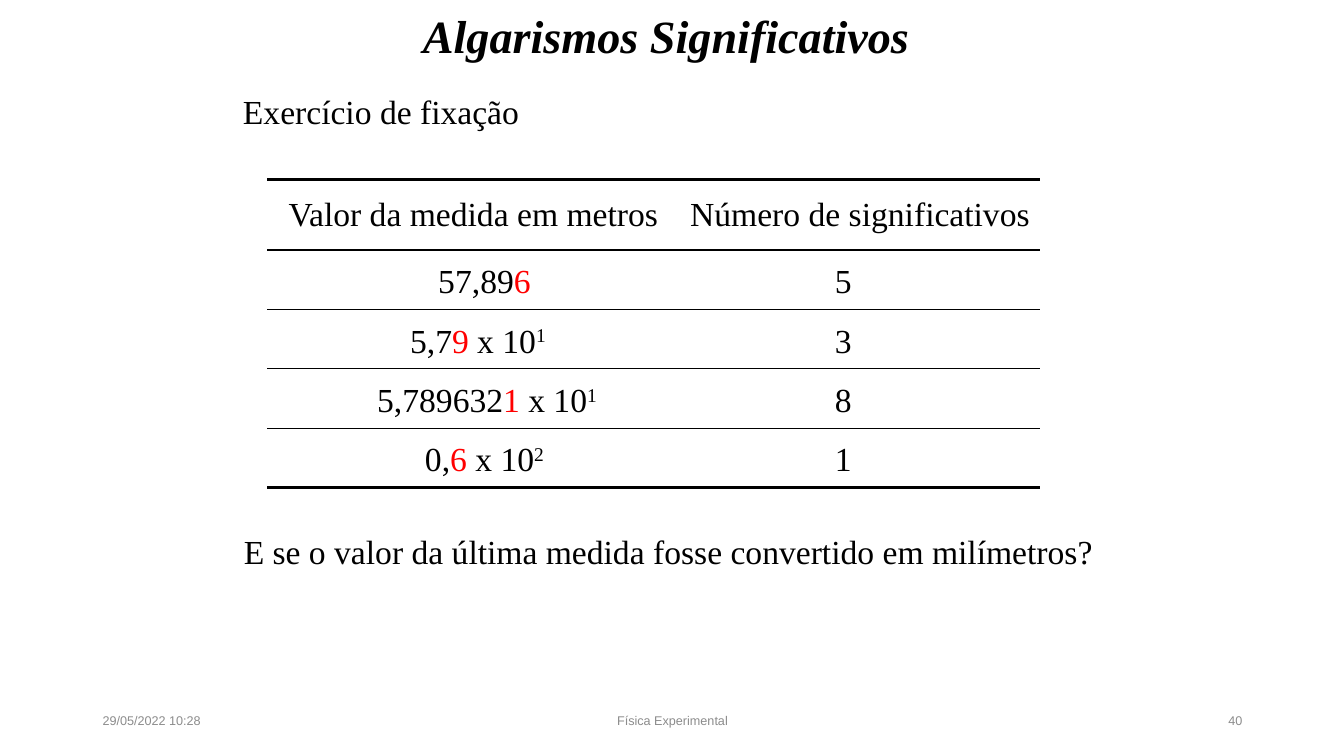
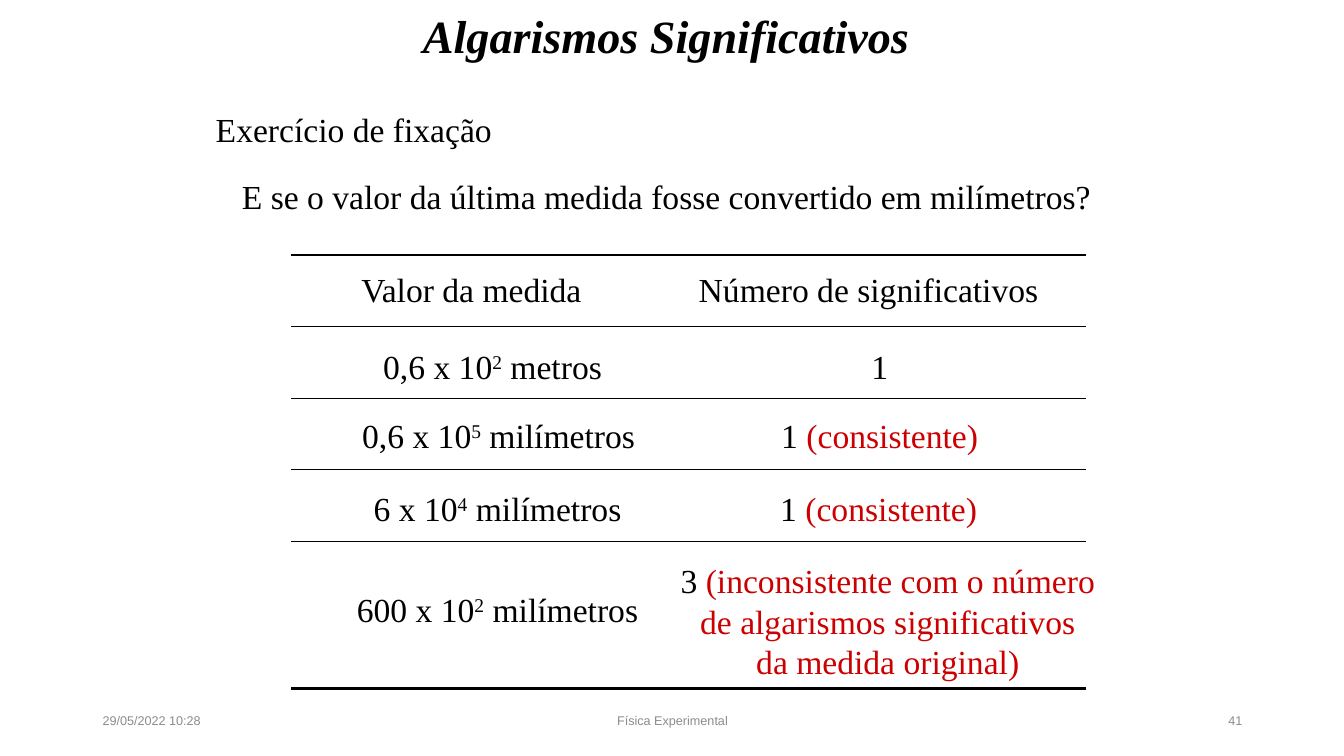
import dataclasses

import lxml.etree
import pptx
import pptx.dml.color
import pptx.enum.text
import pptx.oxml.ns
import pptx.util

Inches = pptx.util.Inches
Align = pptx.enum.text.PP_ALIGN
Anchor = pptx.enum.text.MSO_ANCHOR
AutoSize = pptx.enum.text.MSO_AUTO_SIZE

BLACK = pptx.dml.color.RGBColor(0x00, 0x00, 0x00)
GRAY = pptx.dml.color.RGBColor(0x8C, 0x8C, 0x8C)
RED = pptx.dml.color.RGBColor(0xFF, 0x00, 0x00)
DARK_RED = pptx.dml.color.RGBColor(0xCC, 0x00, 0x00)

SERIF = "Times New Roman"
SANS = "Arial"
TITLE = "Algarismos Significativos "
EXERCISE = "Exercício de fixação"
QUESTION = "E se o valor da última medida fosse convertido em milímetros?"
COUNT_HEADING = "Número de significativos"
TITLE_SIZE, BODY_SIZE, FOOTER_SIZE = 33, 24, 9
THIN, THICK = 1, 2.25
TIGHT = (0.08, 0.04)
NORMAL = (0.1, 0.05)
VALUE_HEIGHT = 0.5


@dataclasses.dataclass
class Span:
    text: str
    color: pptx.dml.color.RGBColor = BLACK
    raised: bool = False


def power(before, exponent, after=""):
    """Spans for a number times a power of ten, with the exponent raised."""
    spans = [Span(before + " x 10"), Span(exponent, raised=True)]
    return spans + [Span(after)] if after else spans


def set_border(cell, side, width):
    """Draw one side of a cell in black, or hide it when width is zero."""
    tag = pptx.oxml.ns.qn("a:" + side)
    line = lxml.etree.SubElement(cell._tc.get_or_add_tcPr(), tag)
    line.set("w", str(int(pptx.util.Pt(width))))
    if not width:
        lxml.etree.SubElement(line, pptx.oxml.ns.qn("a:noFill"))
        return
    fill = lxml.etree.SubElement(line, pptx.oxml.ns.qn("a:solidFill"))
    color = lxml.etree.SubElement(fill, pptx.oxml.ns.qn("a:srgbClr"))
    color.set("val", str(BLACK))


class LessonDeck:
    def __init__(self):
        self.deck = pptx.Presentation()
        self.deck.slide_width = Inches(13.33)
        self.deck.slide_height = Inches(7.5)
        self.page = None

    def add_spans(self, frame, spans, align, size=BODY_SIZE, font=SERIF):
        para = frame.paragraphs[0]
        para.alignment = align
        for span in spans:
            run = para.add_run()
            run.text = span.text
            run.font.name = font
            run.font.size = pptx.util.Pt(size)
            run.font.color.rgb = span.color
            if span.raised:
                run.font._element.set("baseline", "30000")
        return para

    def add_page(self, number):
        self.page = self.deck.slides.add_slide(self.deck.slide_layouts[5])
        title = self.page.shapes.title
        title.left, title.top = Inches(0), Inches(0)
        title.width, title.height = self.deck.slide_width, Inches(0.76)
        title.text_frame.auto_size = AutoSize.NONE
        title.text_frame.vertical_anchor = Anchor.MIDDLE
        para = self.add_spans(title.text_frame, [Span(TITLE)], Align.CENTER, TITLE_SIZE)
        para.line_spacing = 0.9
        para.runs[0].font.bold = True
        para.runs[0].font.italic = True
        self.add_footer("29/05/2022 10:28", 0.92, 3, Align.LEFT)
        self.add_footer("Física Experimental", 4.42, 4.5, Align.CENTER)
        self.add_footer(str(number), 9.42, 3, Align.RIGHT)

    def add_box(self, left, top, width, height, margins=NORMAL, wrap=True):
        box = self.page.shapes.add_textbox(
            Inches(left), Inches(top), Inches(width), Inches(height))
        frame = box.text_frame
        frame.word_wrap = wrap
        frame.margin_left = frame.margin_right = Inches(margins[0])
        frame.margin_top = frame.margin_bottom = Inches(margins[1])
        return frame

    def add_footer(self, text, left, width, align):
        frame = self.add_box(left, 6.95, width, 0.4)
        frame.vertical_anchor = Anchor.MIDDLE
        self.add_spans(frame, [Span(text, GRAY)], align, FOOTER_SIZE, SANS)

    def add_sentence(self, text, left, top, width, align, wrap=True):
        frame = self.add_box(left, top, width, 0.48, TIGHT, wrap)
        frame.auto_size = AutoSize.SHAPE_TO_FIT_TEXT
        self.add_spans(frame, [Span(text)], align)

    def add_value(self, spans, left, top, width, height=VALUE_HEIGHT):
        """Place a centred value over the table; only a tall one wraps."""
        frame = self.add_box(left, top, width, height, wrap=height > VALUE_HEIGHT)
        frame.auto_size = AutoSize.SHAPE_TO_FIT_TEXT
        self.add_spans(frame, spans, Align.CENTER)

    def add_ruled_table(self, headings, left, top, widths, heights):
        """Add a table with horizontal rules, and text in its heading row."""
        table = self.page.shapes.add_table(
            len(heights), len(widths), Inches(left), Inches(top),
            Inches(sum(widths)), Inches(sum(heights))).table
        table.first_row = table.horz_banding = False
        for column, width in zip(table.columns, widths):
            column.width = Inches(width)
        last = len(heights) - 1
        for index, (row, height) in enumerate(zip(table.rows, heights)):
            row.height = Inches(height)
            for cell in row.cells:
                set_border(cell, "lnL", 0)
                set_border(cell, "lnR", 0)
                set_border(cell, "lnT", THICK if index == 0 else THIN)
                set_border(cell, "lnB", THICK if index == last else THIN)
                cell.fill.background()
                cell.vertical_anchor = Anchor.MIDDLE
                cell.margin_left = cell.margin_right = Inches(TIGHT[0])
                cell.margin_top = cell.margin_bottom = Inches(TIGHT[1])
        for cell, heading in zip(table.rows[0].cells, headings):
            self.add_spans(cell.text_frame, [Span(heading)], Align.CENTER)


def add_measures_page(lesson):
    lesson.add_page(40)
    row_height = 0.59
    lesson.add_ruled_table(["Valor da medida em metros", COUNT_HEADING],
                           2.65, 1.78, [4.09, 3.58], [0.7] + [row_height] * 4)
    lesson.add_sentence(EXERCISE, 2.33, 0.86, 2.92, Align.LEFT, wrap=False)
    measures = [
        ([Span("57,89"), Span("6", RED)], 4.24, 1.13, "5"),
        ([Span("5,7"), Span("9", RED)] + power("", "1"), 3.95, 1.58, "3"),
        ([Span("5,789632"), Span("1", RED)] + power("", "1"), 3.62, 2.42, "8"),
        ([Span("0,"), Span("6", RED)] + power("", "2"), 4.1, 1.41, "1"),
    ]
    for index, (spans, left, width, count) in enumerate(measures):
        top = 2.53 + index * row_height
        lesson.add_value(spans, left, top, width)
        lesson.add_value([Span(count)], 8.18, top, 0.37)
    lesson.add_sentence(QUESTION, 2.1, 5.23, 9.06, Align.CENTER)


def add_conversion_page(lesson):
    lesson.add_page(41)
    lesson.add_sentence(QUESTION, 2.32, 1.71, 8.66, Align.JUSTIFY)
    lesson.add_ruled_table(["Valor da medida", COUNT_HEADING],
                           2.89, 2.53, [3.57, 4.31], [0.71] * 4 + [1.46])
    lesson.add_sentence(EXERCISE, 2.06, 1.04, 2.92, Align.LEFT, wrap=False)
    consistent = [Span("1 "), Span("(consistente)", DARK_RED)]
    inconsistent = [Span("3 "), Span(
        "(inconsistente com o número de algarismos significativos "
        "da medida original)", DARK_RED)]
    values = [
        (power("0,6", "2", " metros"), 3.68, 3.38, 2.41),
        ([Span("1")], 8.54, 3.38, 0.37),
        (power("0,6", "5", " milímetros"), 3.47, 4.07, 2.95),
        (consistent, 7.64, 4.07, 2.17),
        (power("6", "4", " milímetros"), 3.59, 4.79, 2.69),
        (consistent, 7.63, 4.79, 2.17),
        (power("600", "2", " milímetros"), 3.42, 5.79, 3.03),
        (inconsistent, 6.65, 5.51, 4.31, 1.31),
    ]
    for value in values:
        lesson.add_value(*value)


def main():
    lesson = LessonDeck()
    add_measures_page(lesson)
    add_conversion_page(lesson)
    lesson.deck.save("out.pptx")


if __name__ == "__main__":
    main()
